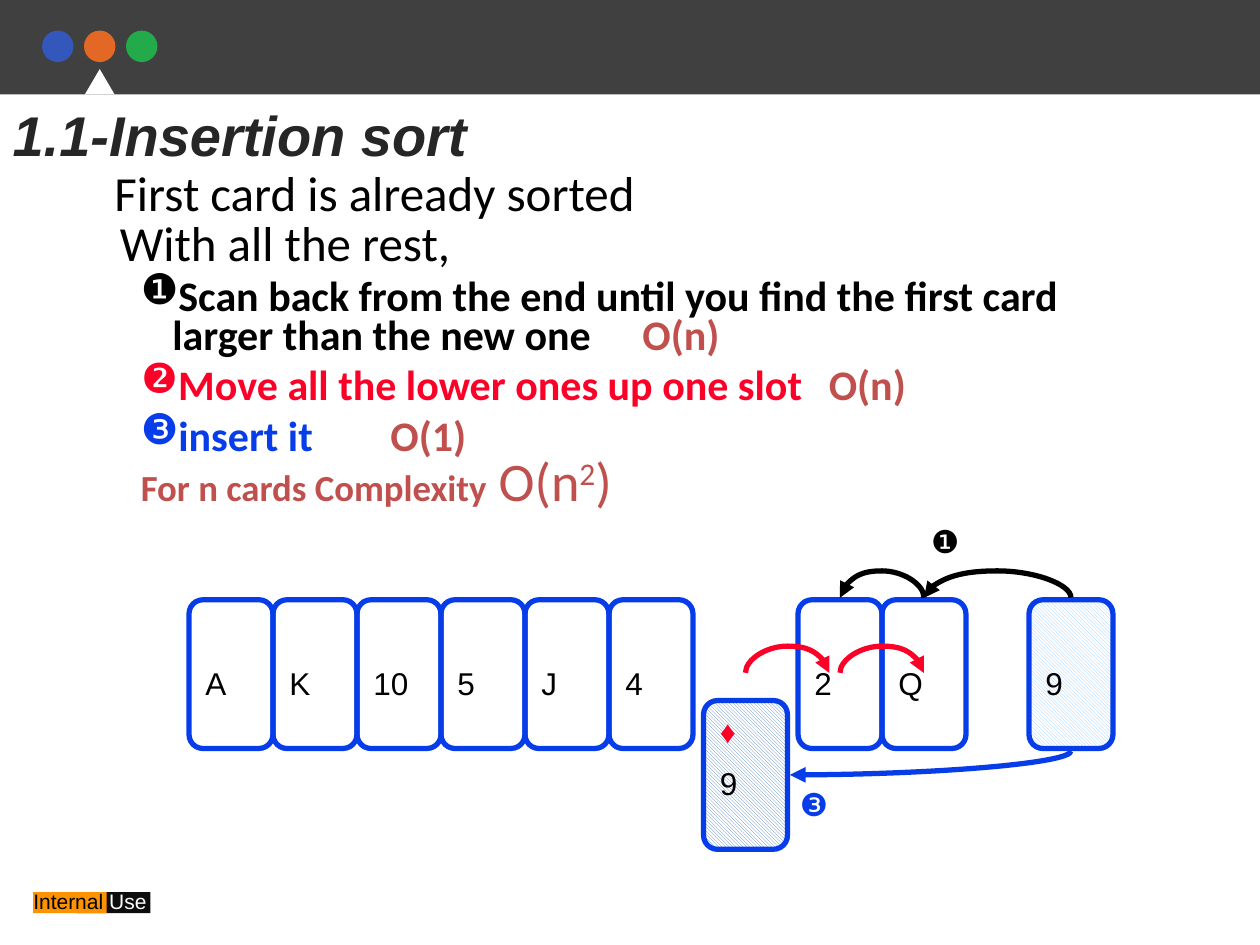
import pptx
import pptx.util
import pptx.dml.color
import pptx.enum.dml
import pptx.enum.shapes
import pptx.enum.text
import pptx.oxml.ns
import lxml.etree

Pt = pptx.util.Pt
qn = pptx.oxml.ns.qn
SHAPE = pptx.enum.shapes.MSO_SHAPE
PATTERN = pptx.enum.dml.MSO_PATTERN
BLACK, WHITE, RED, BLUE, BRICK = "000000", "FFFFFF", "FC0128", "063DE8", "C0504D"
CARD_W, CARD_H, ROW_TOP = 48, 85, 342.7
THIN, RISE = 0.13, 14


def rgb(code):
    """Turn a hex string into a colour."""
    return pptx.dml.color.RGBColor.from_string(code)


def add(parent, tag, **attrs):
    """Append a drawing element with attributes."""
    node = lxml.etree.SubElement(parent, qn(tag))
    for name, value in attrs.items():
        node.set(name, str(value))
    return node


def style(run, size, color, face="Arial", bold=False, italic=False):
    """Format one run."""
    font = run.font
    font.name, font.size, font.bold, font.italic = face, Pt(size), bold, italic
    font.color.rgb = rgb(color)


def shape(slide, kind, x, y, w, h, fill=None):
    """Add a plain shape without a line or shadow."""
    item = slide.shapes.add_shape(kind, Pt(x), Pt(y), Pt(w), Pt(h))
    item.shadow.inherit = False
    item.line.fill.background()
    if fill:
        item.fill.solid()
        item.fill.fore_color.rgb = rgb(fill)
    else:
        item.fill.background()
    return item


def label(slide, x, y, w, h, parts, size, wrap=True):
    """Add a one-line text box made of (text, colour) parts."""
    box = slide.shapes.add_textbox(Pt(x), Pt(y), Pt(w), Pt(h))
    box.text_frame.word_wrap = wrap
    for text, color in parts:
        run = box.text_frame.paragraphs[0].add_run()
        run.text = text
        style(run, size, color)


def header(slide):
    """Draw the top band, its dots and the notch."""
    shape(slide, SHAPE.RECTANGLE, 0, 0, 720, 54, "404040")
    for i, color in enumerate(("3357BB", "E46825", "23AA4A")):
        shape(slide, SHAPE.OVAL, 24 + 24 * i, 17.5, 18, 18, color)
    shape(slide, SHAPE.ISOSCELES_TRIANGLE, 48.5, 39.5, 17, 14.5, WHITE)


def footer(slide):
    """Draw the two-colour usage tag."""
    shape(slide, SHAPE.RECTANGLE, 44, 509.8, 42, 12, "0D0D0D")
    shape(slide, SHAPE.RECTANGLE, 19, 509.8, 42, 12, "FD9203")
    label(slide, 12, 504, 108, 21.6, [("Internal ", BLACK), ("Use", WHITE)], 12)


def title(slide, text):
    """Place and format the title."""
    item = slide.shapes.title
    item.left, item.top, item.width, item.height = Pt(0), Pt(54), Pt(336), Pt(46)
    frame = item.text_frame
    frame.text = text
    frame.vertical_anchor = pptx.enum.text.MSO_ANCHOR.TOP
    para = frame.paragraphs[0]
    para.alignment = pptx.enum.text.PP_ALIGN.LEFT
    style(para.runs[0], 32, "262626", bold=True, italic=True)


def steps(slide):
    """Write the steps of the algorithm with their costs."""
    # left margin, bullet, line pitch, space after, tab, runs
    rows = [
        (58.3, None, 20, 3, None, [("First card is already sorted", 28, BLACK, False)]),
        (61.4, None, 20, 1, None, [("With all the rest,", 28, BLACK, False)]),
        (91.4, "\u2776", 22, 2, 360, [
            ("Scan back from the end until you find the first card "
             "larger than the new one\t", 24, BLACK, True),
            ("O(n)", 24, BRICK, True)]),
        (91.4, "\u278b", 22, 2, 466.5, [
            ("Move all the lower ones up one slot\t", 24, RED, True),
            ("O(n)", 24, BRICK, True)]),
        (91.4, "\u2778", 22, 2, 216, [
            ("insert it\t", 24, BLUE, True), ("O(1)", 24, BRICK, True)]),
        (73.4, None, 22, 2, None, [
            ("For n cards Complexity", 21, BRICK, True), (" ", 30, BRICK, True),
            ("O(n", 31, BRICK, False), ("2", 31, BRICK, False), (")", 31, BRICK, False)]),
    ]
    box = slide.shapes.add_textbox(Pt(0), Pt(103), Pt(666), Pt(378))
    frame = box.text_frame
    frame.word_wrap = True
    for i, (left, mark, pitch, after, tab, runs) in enumerate(rows):
        para = frame.paragraphs[0] if i == 0 else frame.add_paragraph()
        para.line_spacing, para.space_after = Pt(pitch), Pt(after)
        para.space_before = Pt(round(runs[-1][1] * 0.2, 1))
        props = para._p.get_or_add_pPr()
        props.set("marL", str(Pt(left)))
        props.set("indent", str(Pt(-18 if mark else 0)))
        if mark:
            add(props, "a:buChar", char=mark)
        if tab:
            add(add(props, "a:tabLst"), "a:tab", pos=Pt(tab), algn="l")
        for text, size, color, bold in runs:
            run = para.add_run()
            run.text = text
            style(run, size, color, "Calibri", bold)
            if text == "2":
                run._r.get_or_add_rPr().set("baseline", "30000")


def card(slide, x, y, lines, hatch=None):
    """Draw a playing card; hatch is (pattern, colour)."""
    item = shape(slide, SHAPE.ROUNDED_RECTANGLE, x, y, CARD_W, CARD_H)
    item.line.color.rgb = rgb(BLUE)
    item.line.width = Pt(3)
    if hatch:
        item.fill.patterned()
        item.fill.pattern = hatch[0]
        item.fill.fore_color.rgb = rgb(hatch[1])
        item.fill.back_color.rgb = rgb(WHITE)
    frame = item.text_frame
    frame.vertical_anchor = pptx.enum.text.MSO_ANCHOR.TOP
    frame.margin_top = Pt(34.4 - 30 * (len(lines) - 1))
    frame.text = "\n".join(text for text, _ in lines)
    for i, (para, (_, color)) in enumerate(zip(frame.paragraphs, lines)):
        para.alignment = pptx.enum.text.PP_ALIGN.LEFT
        para.space_before = Pt(8 if i else 0)
        style(para.runs[0], 18, color)


def curve(slide, mid_x, mid_y, w, h, color, turn=90, flips=(), kind=3, bend=None):
    """Add a turned curved arrow centred on a point."""
    x, y = mid_x - w / 2, mid_y - h / 2
    item = slide.shapes.add_connector(
        pptx.enum.shapes.MSO_CONNECTOR.CURVE, Pt(x), Pt(y), Pt(x + w), Pt(y + h))
    item.line.color.rgb = rgb(color)
    item.line.width = Pt(3)
    props = item._element.spPr
    frame = props.find(qn("a:xfrm"))
    frame.set("rot", str(turn * 60000))
    for flip in flips:
        frame.set(flip, "1")
    geom = props.find(qn("a:prstGeom"))
    geom.set("prst", f"curvedConnector{kind}")
    if bend is not None:
        add(geom.find(qn("a:avLst")), "a:gd", name="adj1", fmla=f"val {round(bend * 100000)}")
    add(props.find(qn("a:ln")), "a:tailEnd", type="triangle")
    add(props, "a:effectLst")


def hop(slide, start, end, y, color):
    """Add an arched arrow between two points at one height."""
    right = end > start
    curve(slide, (start + end) / 2, y, THIN, abs(end - start), color,
          90 if right else 270, ("flipV",) if right else ("flipH", "flipV"),
          bend=-RISE / THIN)


def cards(slide):
    """Draw the hand of cards and the moves between them."""
    for first, names in ((108, ("A", "K", "10", "5", "J", "4")), (456, ("2", "Q"))):
        for i, name in enumerate(names):
            card(slide, first + CARD_W * i, ROW_TOP, [(name, BLACK)])
    card(slide, 588, ROW_TOP, [("9", BLACK)], (PATTERN.DARK_DOWNWARD_DIAGONAL, "99CCFF"))
    hop(slide, 612, 528, 341.5, BLACK)
    hop(slide, 426, 474, 384.5, RED)
    hop(slide, 480, 528, 384.5, RED)
    card(slide, 402, 400.3, [("\u2666", RED), ("9", BLACK)],
         (PATTERN.LIGHT_DOWNWARD_DIAGONAL, "4F81BD"))
    curve(slide, 531.7, 436, 13.7, 160.6, BLUE, kind=2)
    hop(slide, 528, 480, 341.5, BLACK)
    label(slide, 525, 294.5, 33, 36, [("\u2776", BLACK)], 18, False)
    label(slide, 450, 445, 33, 36, [("\u2778", BLUE)], 18, False)


def main():
    """Build the slide and save it."""
    deck = pptx.Presentation()
    deck.slide_width, deck.slide_height = Pt(720), Pt(540)
    slide = deck.slides.add_slide(deck.slide_layouts[5])
    header(slide)
    footer(slide)
    steps(slide)
    cards(slide)
    title(slide, "1.1-Insertion sort")
    deck.save("out.pptx")


main()
